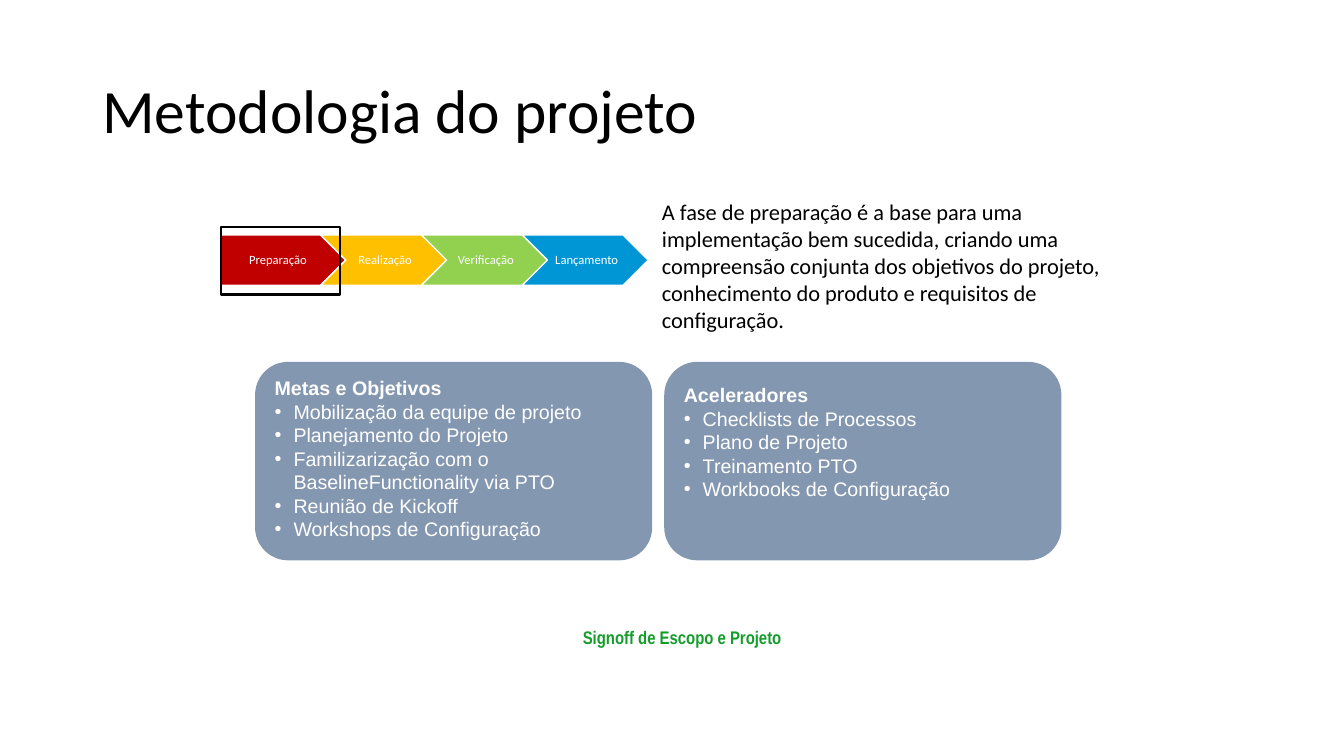
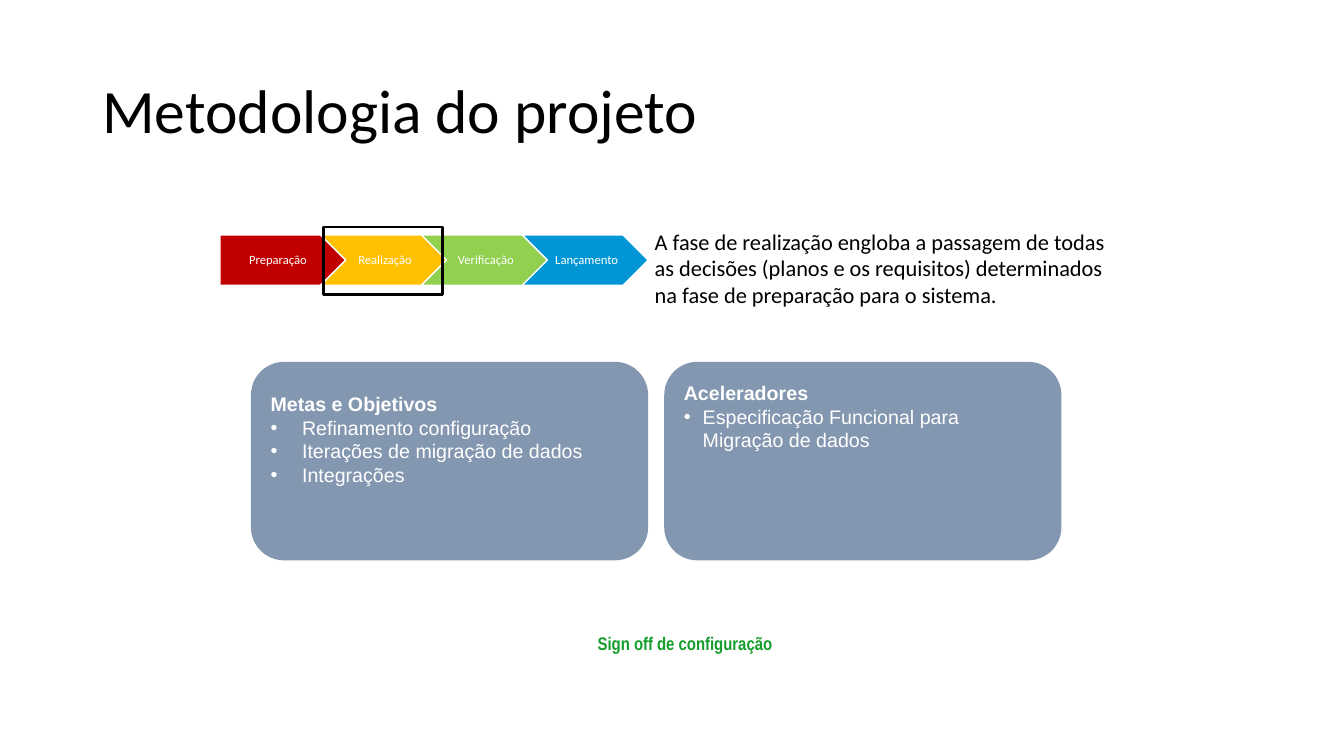
from lxml import etree
from pptx import Presentation
from pptx import util as u
from pptx.dml.color import RGBColor
from pptx.enum import shapes, text
from pptx.oxml import ns

BLACK = RGBColor(0x00, 0x00, 0x00)
WHITE = RGBColor(0xFF, 0xFF, 0xFF)
SLATE = RGBColor(0x84, 0x97, 0xB0)
GREEN = RGBColor(0x13, 0x9D, 0x2A)
RED = RGBColor(0xC0, 0x00, 0x00)
AMBER = RGBColor(0xFF, 0xC0, 0x00)
LIME = RGBColor(0x92, 0xD0, 0x50)
BLUE = RGBColor(0x00, 0x96, 0xD6)

FORM = shapes.MSO_SHAPE
LEFT = text.PP_ALIGN.LEFT
MID = text.PP_ALIGN.CENTER
PHASES = [
    ("Preparação", RED),
    ("Realização", AMBER),
    ("Verificação", LIME),
    ("Lançamento", BLUE),
]


class Deck:
    """Holds the shared style and the slide being built."""

    def __init__(self):
        self.prs = Presentation()
        self.prs.slide_width = u.Pt(960)
        self.prs.slide_height = u.Pt(540)
        self.slide = None

    def start(self, title):
        self.slide = self.prs.slides.add_slide(self.prs.slide_layouts[6])
        frame = self.box(66, 28.8, 828, 104.4)
        frame.vertical_anchor = text.MSO_ANCHOR.MIDDLE
        self.label(frame.paragraphs[0], title, 44, BLACK).line_spacing = 0.9

    def label(self, para, words, size, color, font="Calibri", bold=False, align=LEFT):
        para.alignment = align
        run = para.add_run()
        run.text = words
        run.font.size = u.Pt(size)
        run.font.name = font
        run.font.bold = bold
        run.font.color.rgb = color
        return para

    def box(self, x, y, w, h):
        frame = self.slide.shapes.add_textbox(u.Pt(x), u.Pt(y), u.Pt(w), u.Pt(h)).text_frame
        frame.word_wrap = True
        return frame

    def shape(self, form, x, y, w, h, fill=None, line=None, width=1):
        item = self.slide.shapes.add_shape(form, u.Pt(x), u.Pt(y), u.Pt(w), u.Pt(h))
        item.shadow.inherit = False
        if fill is None:
            item.fill.background()
        else:
            item.fill.solid()
            item.fill.fore_color.rgb = fill
        if line is None:
            item.line.fill.background()
        else:
            item.line.color.rgb = line
            item.line.width = u.Pt(width)
        return item.text_frame

    def bullet(self, para, indent):
        props = para._p.get_or_add_pPr()
        props.set("marL", str(u.Pt(indent)))
        props.set("indent", str(-u.Pt(indent)))
        font = etree.SubElement(props, ns.qn("a:buFont"))
        font.set("typeface", "Arial")
        etree.SubElement(props, ns.qn("a:buChar")).set("char", "•")

    def flow(self, active):
        for i, (name, color) in enumerate(PHASES):
            form = FORM.CHEVRON if i else FORM.PENTAGON
            frame = self.shape(form, 157 + 72 * i, 167.8, 90, 36, color, WHITE)
            frame.word_wrap = True
            frame.vertical_anchor = text.MSO_ANCHOR.MIDDLE
            frame.margin_left = u.Pt(3)
            frame.margin_right = u.Pt(1)
            frame.margin_top = frame.margin_bottom = u.Pt(2)
            self.label(frame.paragraphs[0], name, 9, WHITE, align=MID).line_spacing = 0.9
        self.shape(FORM.RECTANGLE, 157.7 + 73.4 * active, 162, 85, 48.4, None, BLACK, 1.5)

    def note(self, x, y, w, h, words):
        self.label(self.box(x, y, w, h).paragraphs[0], words, 16, BLACK)

    def card(self, x, top, head, items, indent=13.5):
        frame = self.shape(FORM.ROUNDED_RECTANGLE, x, 258.5, 283.7, 141.8, SLATE)
        frame.word_wrap = True
        frame.vertical_anchor = text.MSO_ANCHOR.TOP
        frame.margin_top = u.Pt(top)
        self.label(frame.paragraphs[0], head, 14, WHITE, "Arial", True)
        for item in items:
            para = self.label(frame.add_paragraph(), item, 14, WHITE, "Arial")
            self.bullet(para, indent)

    def signoff(self, x, y, words):
        para = self.box(x, y, 190, 21.6).paragraphs[0]
        self.label(para, words, 13, GREEN, "Arial Narrow", True).line_spacing = u.Pt(14)


def main():
    deck = Deck()
    title = "Metodologia do projeto"
    goals, tools = "Metas e Objetivos", "Aceleradores"

    deck.start(title)
    deck.card(182.2, 3.2, goals, [
        "Mobilização da equipe de projeto",
        "Planejamento do Projeto",
        "Familizarização com o BaselineFunctionality via PTO",
        "Reunião de Kickoff",
        "Workshops de Configuração",
    ])
    deck.card(474.5, 8.2, tools, [
        "Checklists de Processos",
        "Plano de Projeto",
        "Treinamento PTO",
        "Workbooks de Configuração",
    ])
    deck.note(465.8, 138.2, 364.3, 104.4,
              "A fase de preparação é a base para uma implementação bem sucedida, "
              "criando uma compreensão conjunta dos objetivos do projeto, "
              "conhecimento do produto e requisitos de configuração.")
    deck.flow(0)
    deck.signoff(409.2, 445.7, "Signoff de Escopo e Projeto")

    deck.start(title)
    deck.note(460.6, 159.1, 352.8, 65.5,
              "A fase de realização engloba a passagem de todas as decisões "
              "(planos e os requisitos) determinados na fase de preparação "
              "para o sistema.")
    deck.card(179.3, 14.7, goals, [
        "Refinamento configuração",
        "Iterações de migração de dados",
        "Integrações",
    ], 22.5)
    deck.card(474.5, 6.8, tools, ["Especificação Funcional para Migração de dados"])
    deck.signoff(419.8, 450, "Sign off de configuração")
    deck.flow(1)

    deck.prs.save("out.pptx")


if __name__ == "__main__":
    main()
